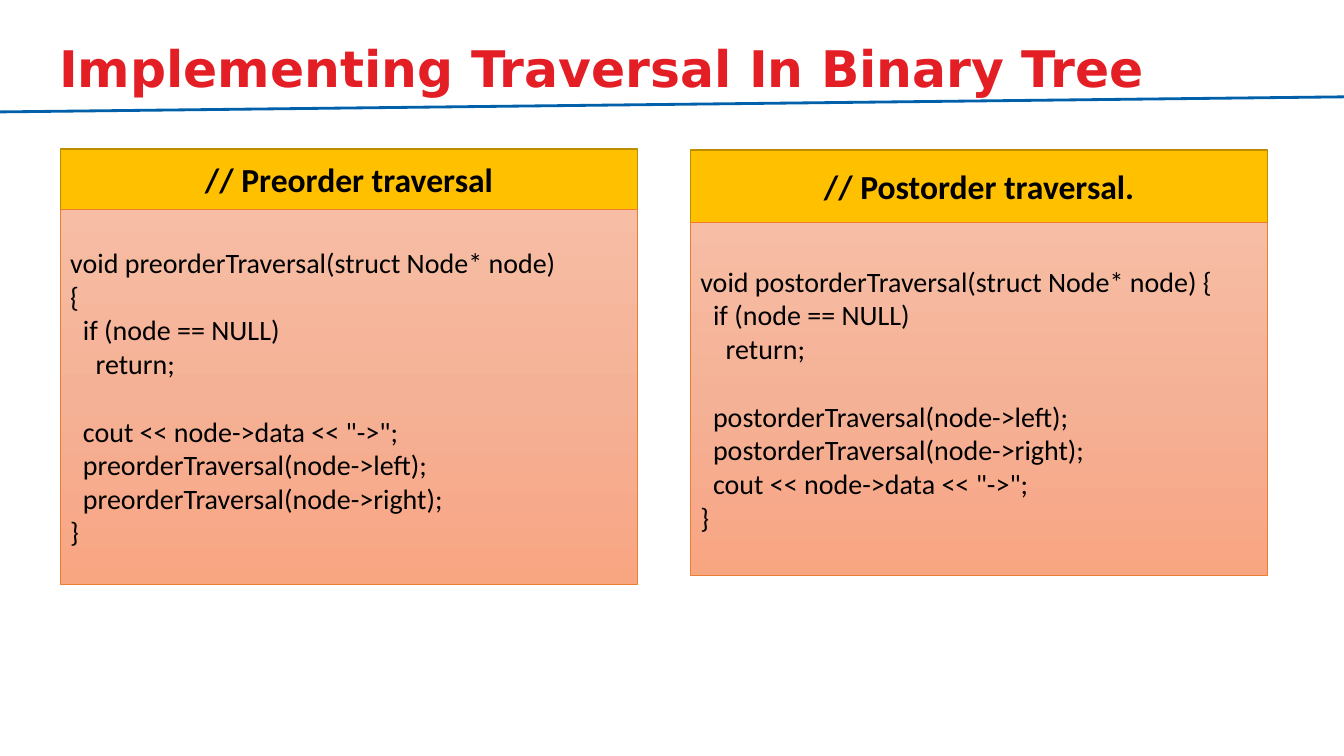
"""Build the slide on traversal code for a binary tree."""
from copy import deepcopy

from pptx import Presentation
from pptx.dml.color import RGBColor
from pptx.enum import shapes, text
from pptx.oxml import ns
from pptx.util import Cm, Pt

TITLE = "Implementing Traversal In Binary Tree"
PANELS = [
    dict(left=1.52, top=3.76, head=1.52, body=9.45,
         title="// Preorder traversal",
         code=[(0, "void preorderTraversal(struct Node* node)"),
               (0, "{"),
               (1, "if (node == NULL)"),
               (2, "return;"),
               (1, 'cout << node->data << "->";'),
               (1, "preorderTraversal(node->left);"),
               (1, "preorderTraversal(node->right);"),
               (0, "}")]),
    dict(left=17.4, top=3.78, head=1.83, body=8.89,
         title="// Postorder traversal.",
         code=[(0, "void postorderTraversal(struct Node* node) {"),
               (1, "if (node == NULL)"),
               (2, "return;"),
               (1, "postorderTraversal(node->left);"),
               (1, "postorderTraversal(node->right);"),
               (1, 'cout << node->data << "->";'),
               (0, "}")]),
]
GRADIENT = [(0, "F7BDA5"), (0.5, "F5B196"), (1, "F8A582")]
SLIDE_W, SLIDE_H = 33.87, 19.05
PANEL_W = 14.55
INDENT = 0.32
BLANK_LINE = 24.4


def rgb(value):
    return RGBColor.from_string(value)


def style(p, size, color, bold=False, name="Calibri"):
    p.font.size, p.font.bold, p.font.name = Pt(size), bold, name
    p.font.color.rgb = rgb(color)


def add_box(slide, left, top, height, line, width):
    s = slide.shapes.add_shape(shapes.MSO_SHAPE.RECTANGLE, Cm(left), Cm(top),
                               Cm(PANEL_W), Cm(height))
    s.shadow.inherit = False
    s.line.color.rgb = rgb(line)
    s.line.width = Pt(width)
    s.text_frame.word_wrap = True
    s.text_frame.vertical_anchor = text.MSO_ANCHOR.MIDDLE
    return s


def fill_gradient(s):
    s.fill.gradient()
    s.fill.gradient_angle = 270
    first = s._element.spPr.find(".//" + ns.qn("a:gs"))
    first.addnext(deepcopy(first))
    for stop, (position, color) in zip(s.fill.gradient_stops, GRADIENT):
        stop.position = position
        stop.color.rgb = rgb(color)


def add_code(tf, code):
    previous = ""
    for i, (level, line) in enumerate(code):
        p = tf.paragraphs[0] if i == 0 else tf.add_paragraph()
        p.text = line
        p.alignment = text.PP_ALIGN.LEFT
        p._p.get_or_add_pPr().set("marL", str(Cm(INDENT * level)))
        if previous == "return;":
            p.space_before = Pt(BLANK_LINE)
        style(p, 20, "000000")
        previous = line


def add_panel(slide, left, top, head, body, title, code):
    s = add_box(slide, left, top, head, "BD8E00", 1)
    s.fill.solid()
    s.fill.fore_color.rgb = rgb("FFC000")
    p = s.text_frame.paragraphs[0]
    p.text = title
    p.alignment = text.PP_ALIGN.CENTER
    style(p, 24, "000000", bold=True)

    s = add_box(slide, left, top + head, body, "ED7D31", 0.5)
    fill_gradient(s)
    add_code(s.text_frame, code)


def add_title(slide):
    s = slide.shapes.title
    s.left, s.top, s.width, s.height = Cm(0.79), Cm(0.2), Cm(29.77), Cm(3.18)
    tf = s.text_frame
    tf.auto_size = text.MSO_AUTO_SIZE.NONE
    tf.vertical_anchor = text.MSO_ANCHOR.MIDDLE
    tf.margin_left = Cm(0.7)
    p = tf.paragraphs[0]
    p.text = TITLE
    p.alignment = text.PP_ALIGN.LEFT
    p.line_spacing = 0.9
    style(p, 36, "E31E24", bold=True, name="DejaVu Sans")


def add_rule(slide):
    s = slide.shapes.add_connector(shapes.MSO_CONNECTOR.STRAIGHT, Cm(0), Cm(2.82),
                                   Cm(SLIDE_W), Cm(2.44))
    s.line.color.rgb = rgb("0060AA")
    s.line.width = Pt(2)
    spPr = s._element.spPr
    spPr.append(spPr.makeelement(ns.qn("a:effectLst"), {}))


def main():
    prs = Presentation()
    prs.slide_width, prs.slide_height = Cm(SLIDE_W), Cm(SLIDE_H)
    slide = prs.slides.add_slide(prs.slide_layouts[5])
    add_title(slide)
    add_rule(slide)
    for panel in PANELS:
        add_panel(slide, **panel)
    prs.save("out.pptx")


if __name__ == "__main__":
    main()
